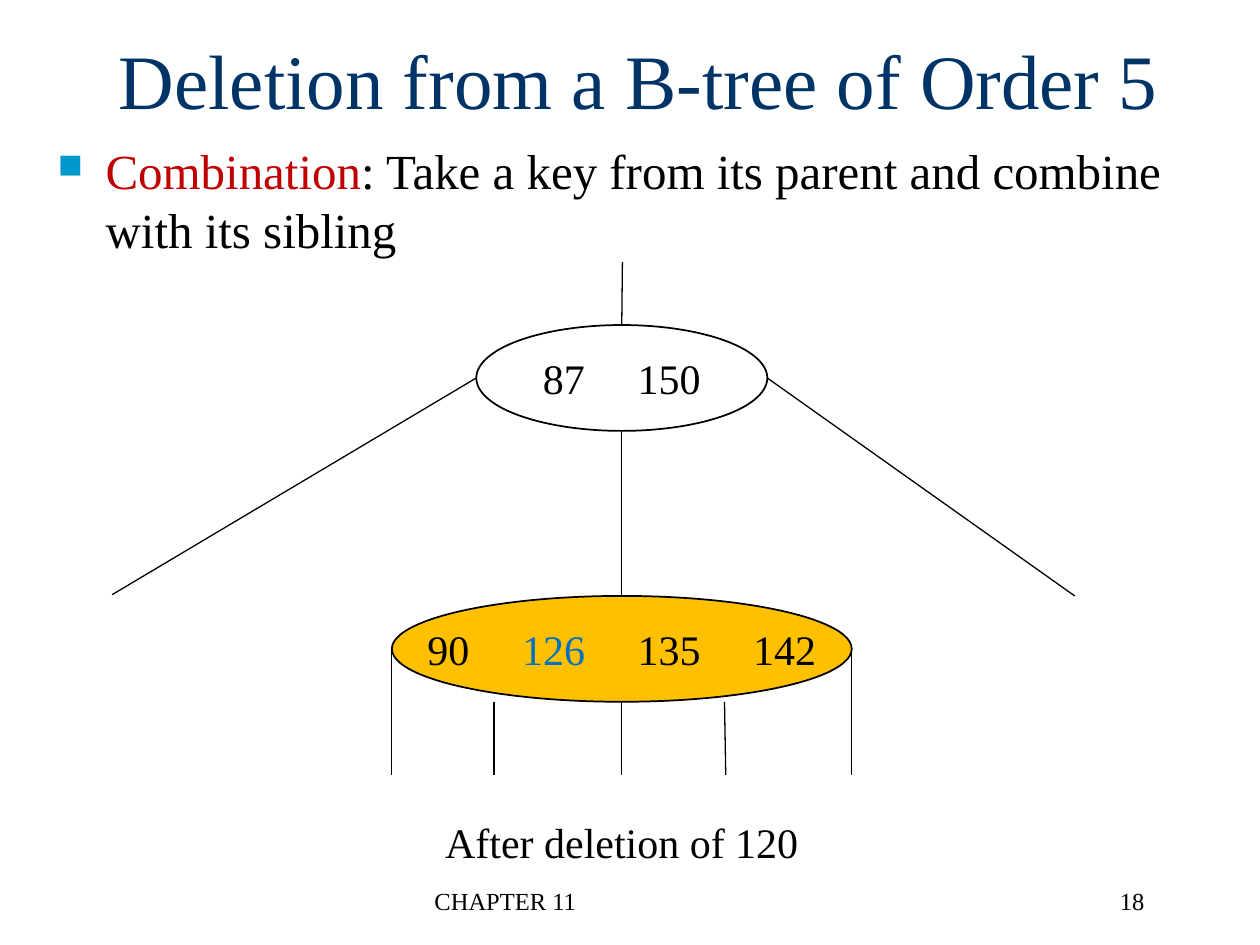
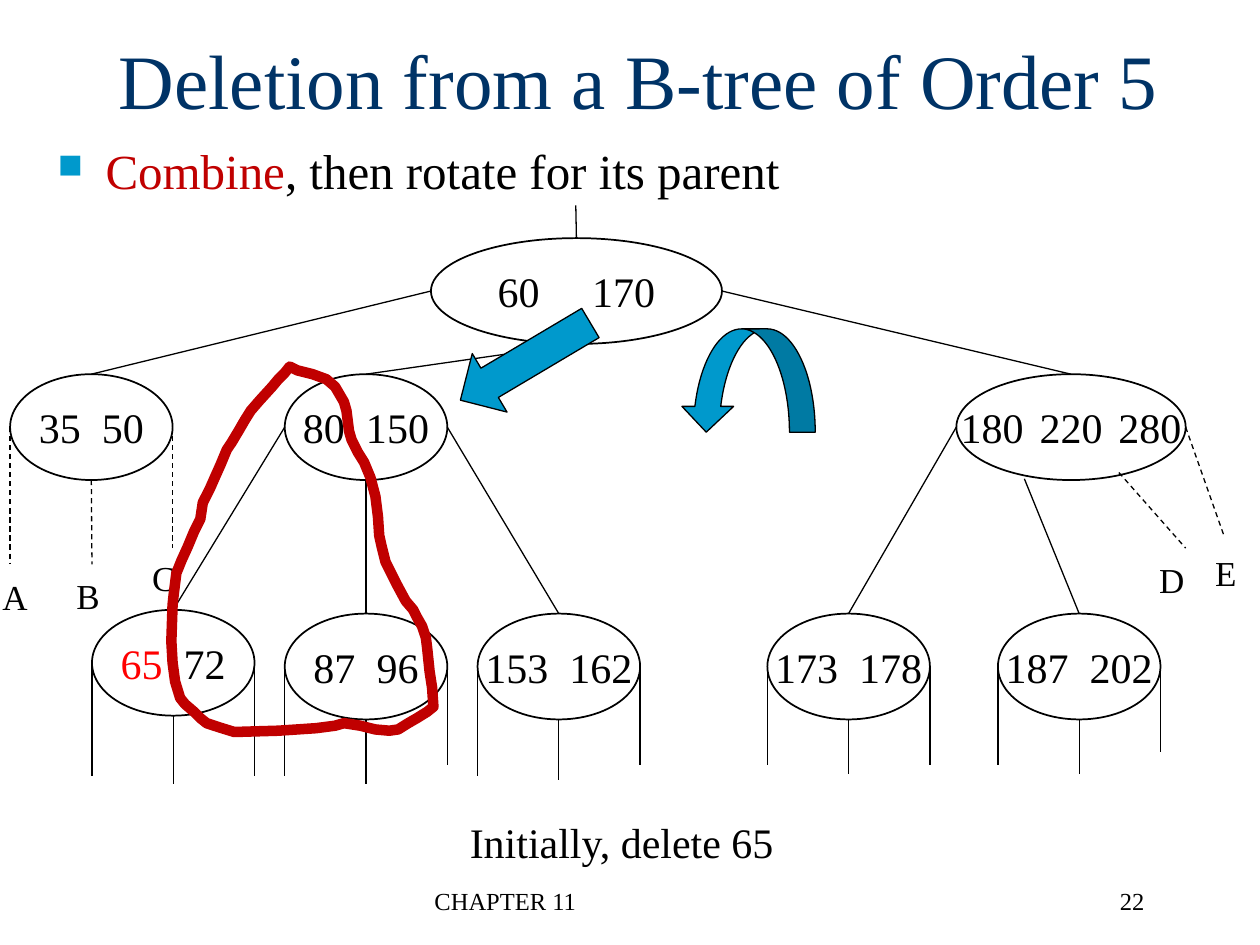
"""Build two slides on deletion from a B-tree of order 5."""
from lxml.etree import SubElement as Sub
from pptx import Presentation
from pptx.dml.color import RGBColor as Rgb
from pptx.enum.dml import MSO_LINE as Dash
from pptx.enum.shapes import MSO_CONNECTOR as Conn, MSO_SHAPE as Kind
from pptx.enum.text import MSO_ANCHOR as Anchor, MSO_AUTO_SIZE as Fit, PP_ALIGN as Align
from pptx.oxml.ns import qn
from pptx.util import Inches, Pt

FONT = "Times New Roman"
INK, NAVY, BLUE, RED = "000000", "003366", "0099CC", "C00000"
WHITE, GOLD = "FFFFFF", "FFC000"
WIDE, HIGH = Inches(10), Inches(7.5)
UNIT = WIDE / 10
TALL, LEAF = 0.84, 1.29
TITLE = "Deletion from a B-tree of Order 5"
FOOT = "CHAPTER 11"
PORTS = {"t": (0.5, 0), "b": (0.5, 1), "l": (0, 0.5), "r": (1, 0.5)}

# node: left, top, width, keys, gap in spaces, fill
# link: two ends, each a point or (node, port)
# drop: ends of the lines hung from the left, base and right of a node
MERGE = {
    "page": "18",
    "lead": [("Combination", RED),
             (": Take a key from its parent and combine with its sibling", INK)],
    "note": "After deletion of 120",
    "nodes": {
        "root": (3.78, 2.58, 2.31, [("87", INK), ("150", INK)], 5, WHITE),
        "leaf": (3.11, 4.73, 3.65, [("90", INK), ("126", "0070C0"),
                                    ("135", INK), ("142", INK)], 5, GOLD),
    },
    "links": [
        ((4.94, 2.08), ("root", "t")),
        (("root", "r"), (8.53, 4.73)),
        (("root", "l"), (0.89, 4.72)),
        (("root", "b"), ("leaf", "t")),
        ((3.92, 5.57), (3.92, 6.15)),
        ((5.75, 5.57), (5.76, 6.15)),
    ],
    "drops": {"leaf": (6.15, 6.15, 6.15)},
    "dashes": [],
    "tags": [],
}

ROTATE = {
    "page": "22",
    "lead": [("Combine", RED), (", then rotate for its parent", INK)],
    "note": "Initially, delete 65",
    "nodes": {
        "root": (3.42, 1.89, 2.31, [("60", INK), ("170", INK)], 5, WHITE),
        "low": (0.08, 2.97, LEAF, [("35", INK), ("50", INK)], 2, WHITE),
        "mid": (2.26, 2.97, LEAF, [("80", INK), ("150", INK)], 2, WHITE),
        "top": (7.59, 2.97, 1.82, [("180", INK), ("220", INK), ("280", INK)], 1.5, WHITE),
        "65": (0.73, 4.84, LEAF, [("65", "FF0000"), ("72", INK)], 2, WHITE),
        "87": (2.26, 4.87, LEAF, [("87", INK), ("96", INK)], 2, WHITE),
        "153": (3.79, 4.87, LEAF, [("153", INK), ("162", INK)], 2, WHITE),
        "173": (6.09, 4.87, LEAF, [("173", INK), ("178", INK)], 2, WHITE),
        "187": (7.92, 4.87, LEAF, [("187", INK), ("202", INK)], 2, WHITE),
    },
    "links": [
        ((4.57, 1.63), ("root", "t")),
        (("root", "r"), ("top", "t")),
        (("root", "l"), ("low", "t")),
        (("root", "b"), ("mid", "t")),
        (("mid", "l"), ("65", "t")),
        (("mid", "b"), ("87", "t")),
        (("mid", "r"), ("153", "t")),
        (("top", "l"), ("173", "t")),
        ((8.13, 3.8), ("187", "t")),
    ],
    "drops": {
        "65": (6.16, 6.22, 6.16),
        "87": (6.16, 6.22, 6.07),
        "153": (6.16, 6.19, 6.07),
        "173": (6.07, 6.14, 6.07),
        "187": (6.07, 6.14, 5.97),
    },
    "dashes": [
        (("low", "l"), (0.08, 4.48)),
        (("low", "b"), (0.73, 4.48)),
        (("low", "r"), (1.37, 4.35)),
        (("top", "r"), (9.71, 4.24)),
        ((8.88, 3.75), (9.41, 4.35)),
    ],
    "tags": [("A", 0.12, 4.52), ("B", 0.7, 4.51), ("C", 1.3, 4.37),
             ("D", 9.3, 4.38), ("E", 9.73, 4.33)],
}

ARROWS = [(Kind.CURVED_UP_ARROW, (5.4, 2.61, 1.07, 0.82), 180),
          (Kind.LEFT_ARROW, (3.57, 2.6, 1.2, 0.54), 329.3)]

# outline of the merged keys, in hundredths of a unit
LOOP = [
    (230, 291), (226, 296), (221, 301), (216, 307), (206, 318), (199, 326),
    (194, 334), (190, 341), (184, 351), (180, 357), (175, 369), (171, 378),
    (167, 387), (161, 399), (159, 412), (154, 422), (149, 434), (144, 445),
    (140, 455), (138, 471), (137, 480), (136, 509), (137, 526), (139, 541),
    (143, 554), (147, 559), (154, 565), (159, 570), (164, 574), (173, 577),
    (186, 581), (221, 580), (251, 578), (266, 576), (273, 574), (286, 576),
    (298, 579), (309, 580), (316, 579), (324, 574), (331, 570), (339, 565),
    (344, 561), (343, 546), (341, 533), (339, 514), (338, 506), (335, 497),
    (331, 490), (328, 484), (322, 477), (315, 464), (310, 454), (306, 446),
    (303, 434), (301, 425), (300, 410), (298, 394), (294, 379), (289, 367),
    (284, 359), (279, 349), (277, 342), (275, 326), (273, 319), (266, 307),
    (259, 301), (248, 297), (236, 294),
]


def tint(code):
    return Rgb.from_string(code)


def span(*nums):
    return [round(num * UNIT) for num in nums]


def style(para, size, color=None, align=None):
    para.font.name, para.font.size = FONT, Pt(size)
    if color:
        para.font.color.rgb = tint(color)
    if align is not None:
        para.alignment = align


def write(para, runs):
    for word, color in runs:
        run = para.add_run()
        run.text = word
        run.font.color.rgb = tint(color)


def label(slide, word, area, size, align, wrap=True):
    frame = slide.shapes.add_textbox(*span(*area)).text_frame
    frame.word_wrap = wrap
    para = frame.paragraphs[0]
    para.text = word
    style(para, size, INK, align)


def paint(shape, fill, width, line=INK):
    shape.shadow.inherit = False
    if fill:
        shape.fill.solid()
        shape.fill.fore_color.rgb = tint(fill)
    else:
        shape.fill.background()
    shape.line.color.rgb = tint(line)
    shape.line.width = Pt(width)


def lead(slide, runs):
    frame = slide.shapes.add_textbox(*span(0.36, 1.07, 9.41, 5.7)).text_frame
    frame.word_wrap = True
    para = frame.paragraphs[0]
    props = para._p.get_or_add_pPr()
    hang = Inches(0.38)
    props.set("marL", str(hang))
    props.set("indent", str(-hang))
    Sub(Sub(props, qn("a:buClr")), qn("a:srgbClr"), val=BLUE)
    Sub(props, qn("a:buSzPct"), val="70000")
    Sub(props, qn("a:buChar"), char="■")
    write(para, runs)
    style(para, 28)


def node(slide, left, top, width, keys, gap, fill):
    shape = slide.shapes.add_shape(Kind.OVAL, *span(left, top, width, TALL))
    paint(shape, fill, 1)
    frame = shape.text_frame
    frame.word_wrap = False
    frame.vertical_anchor = Anchor.MIDDLE
    para = frame.paragraphs[0]
    style(para, 24, INK, Align.CENTER)
    for at, key in enumerate(keys):
        if at:
            space = para.add_run()
            space.text = " "
            space.font._element.set("spc", str(round((gap - 1) * 600)))
        write(para, [key])


def place(nodes, end):
    if end[0] not in nodes:
        return end
    left, top, width = nodes[end[0]][:3]
    across, down = PORTS[end[1]]
    return left + across * width, top + down * TALL


def link(slide, nodes, head, tail, dash=False):
    ends = span(*place(nodes, head), *place(nodes, tail))
    line = slide.shapes.add_connector(Conn.STRAIGHT, *ends)
    line.line.color.rgb = tint(INK)
    line.line.width = Pt(0.75)
    if dash:
        line.line.dash_style = Dash.DASH
    Sub(line._element.spPr, qn("a:effectLst"))


def tree(slide, data):
    nodes = data["nodes"]
    for item in nodes.values():
        node(slide, *item)
    for ends in data["links"]:
        link(slide, nodes, *ends)
    for name, lows in data["drops"].items():
        for port, low in zip("lbr", lows):
            across = place(nodes, (name, port))[0]
            link(slide, nodes, (name, port), (across, low))
    for ends in data["dashes"]:
        link(slide, nodes, *ends, dash=True)
    for word, mid, top in data["tags"]:
        label(slide, word, (mid - 0.2, top, 0.4, 0.44), 20, Align.CENTER, False)


def marks(slide):
    (kind, area, turn), last = ARROWS
    arrow(slide, kind, area, turn)
    pen = slide.shapes.build_freeform(*LOOP[0], scale=UNIT / 100)
    pen.add_line_segments(LOOP[1:], close=True)
    paint(pen.convert_to_shape(), None, 6, RED)
    arrow(slide, *last)


def arrow(slide, kind, area, turn):
    shape = slide.shapes.add_shape(kind, *span(*area))
    shape.rotation = turn
    paint(shape, BLUE, 0.75)


def page(deck, data):
    slide = deck.slides.add_slide(deck.slide_layouts[5])
    title = slide.shapes.title
    title.left, title.top, title.width, title.height = span(0.64, 0, 8.86, 1.25)
    frame = title.text_frame
    frame.auto_size = Fit.NONE
    frame.vertical_anchor = Anchor.MIDDLE
    frame.text = TITLE
    style(frame.paragraphs[0], 44, NAVY, Align.CENTER)
    lead(slide, data["lead"])
    label(slide, FOOT, (3.35, 6.98, 3.17, 0.5), 14, Align.LEFT)
    label(slide, data["page"], (7.1, 6.98, 2.08, 0.5), 14, Align.RIGHT)
    label(slide, data["note"], (3.42, 6.43, 3.03, 0.5), 24, Align.CENTER, False)
    tree(slide, data)
    return slide


def main():
    deck = Presentation()
    deck.slide_width, deck.slide_height = WIDE, HIGH
    page(deck, MERGE)
    marks(page(deck, ROTATE))
    deck.save("out.pptx")


if __name__ == "__main__":
    main()
